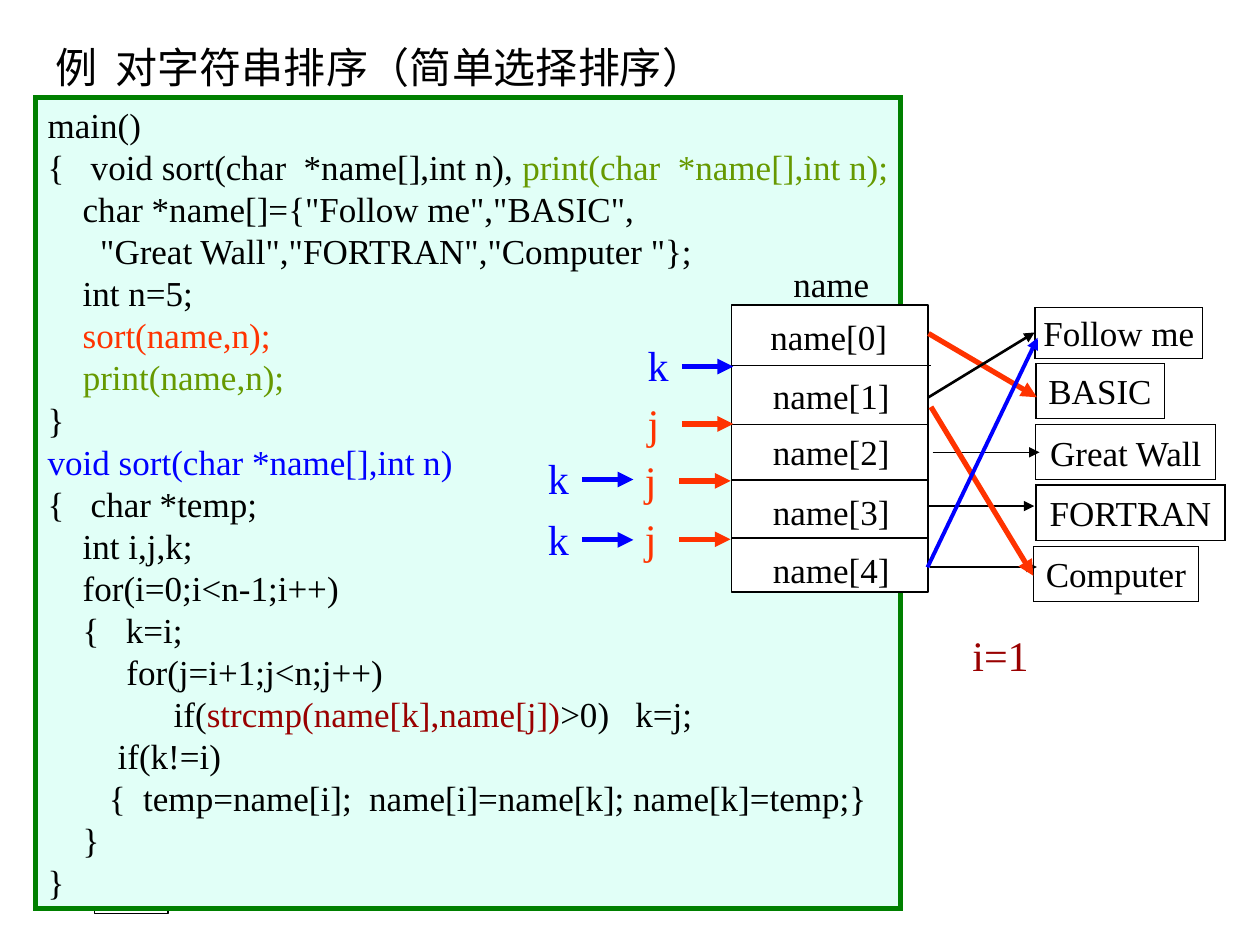
from lxml import etree
from pptx import Presentation
from pptx.dml.color import RGBColor
from pptx.enum import shapes, text
from pptx.oxml.ns import qn
from pptx.util import Pt

BLACK = RGBColor(0, 0, 0)
WHITE = RGBColor(255, 255, 255)
MINT = RGBColor(0xE1, 0xFF, 0xF7)
GREEN = RGBColor(0, 0x80, 0)
OLIVE = RGBColor(0x66, 0x99, 0)
RED = RGBColor(0xFF, 0x33, 0)
BLUE = RGBColor(0, 0, 0xFF)
MAROON = RGBColor(0x99, 0, 0)
LEFT, MID = text.PP_ALIGN.LEFT, text.PP_ALIGN.CENTER

deck = Presentation()
deck.slide_width, deck.slide_height = Pt(720), Pt(540)
slide = deck.slides.add_slide(deck.slide_layouts[6])
items = slide.shapes


def label(area, lines, size=20, align=LEFT, frame=False):
    place = [Pt(n) for n in area]
    if frame:
        box = items.add_shape(shapes.MSO_SHAPE.RECTANGLE, *place)
        box.shadow.inherit = False
        box.fill.background()
        box.line.color.rgb = BLACK
        box.line.width = Pt(0.75)
        etree.SubElement(box.line._get_or_add_ln(), qn("a:miter"), lim="800000")
    else:
        box = items.add_textbox(*place)
    body = box.text_frame
    anchor = text.MSO_ANCHOR.MIDDLE if align == MID else text.MSO_ANCHOR.TOP
    look = {"word_wrap": False, "vertical_anchor": anchor,
            "auto_size": text.MSO_AUTO_SIZE.SHAPE_TO_FIT_TEXT}
    for key, value in look.items():
        setattr(body, key, value)
    for num, line in enumerate(lines):
        para = body.add_paragraph() if num else body.paragraphs[0]
        para.alignment = align
        para.line_spacing = Pt(size * 1.2)
        if line[0][0].startswith("\t"):
            tabs = etree.SubElement(para._p.get_or_add_pPr(), qn("a:tabLst"))
            etree.SubElement(tabs, qn("a:tab"), pos=str(Pt(72)), algn="l")
        for words, color in line:
            run = para.add_run()
            run.text = words
            for key, value in {"name": "Times New Roman", "size": Pt(size)}.items():
                setattr(run.font, key, value)
            run.font.color.rgb = color
    return box


def stroke(ends, color=BLACK, width=0.75, head=True):
    line = items.add_connector(shapes.MSO_CONNECTOR.STRAIGHT, *[Pt(n) for n in ends])
    line.line.color.rgb = color
    line.line.width = Pt(width)
    if head:
        etree.SubElement(line.line._get_or_add_ln(), qn("a:tailEnd"), type="triangle")
    etree.SubElement(line._element.spPr, qn("a:effectLst"))


icon = items.add_shape(shapes.MSO_SHAPE.ACTION_BUTTON_DOCUMENT, Pt(54), Pt(468), Pt(42), Pt(54))
icon.adjustments
icon.shadow.inherit = False
icon.fill.solid()
icon.fill.fore_color.rgb = WHITE
icon.line.color.rgb = BLACK
icon.line.width = Pt(0.75)

label((24.5, 20, 390, 36), [[("例  对字符串排序（简单选择排序）", BLACK)]], 24)

code = [
    [("main()", BLACK)],
    [("{   void sort(char  *name[],int n), ", BLACK), ("print(char  *name[],int n);", OLIVE)],
    [('    char *name[]={"Follow me","BASIC",', BLACK)],
    [('      "Great Wall","FORTRAN","Computer "};', BLACK)],
    [("    int n=5;", BLACK)],
    [("    sort(name,n);", RED)],
    [("    ", BLACK), ("print(name,n);", OLIVE)],
    [("}", BLACK)],
    [("void sort(char *name[],int n)", BLUE)],
    [("{   char *temp;", BLACK)],
    [("    int i,j,k;", BLACK)],
    [("    for(i=0;i<n-1;i++)", BLACK)],
    [("    {   k=i;", BLACK)],
    [("         for(j=i+1;j<n;j++)", BLACK)],
    [("\tif(", BLACK), ("strcmp(name[k],name[j])", MAROON), (">0)   k=j;", BLACK)],
    [("        if(k!=i)", BLACK)],
    [("       {  temp=name[i];  name[i]=name[k]; name[k]=temp;}", BLACK)],
    [("    }", BLACK)],
    [("}", BLACK)],
]
panel = label((20.2, 55.8, 494.6, 463.5), code, frame=True)
panel.fill.solid()
panel.fill.fore_color.rgb = MINT
panel.line.color.rgb = GREEN
panel.line.width = Pt(3)

stack = items.add_shape(shapes.MSO_SHAPE.RECTANGLE, Pt(417.8), Pt(174.4), Pt(112.5), Pt(164))
stack.shadow.inherit = False
stack.fill.solid()
stack.fill.fore_color.rgb = WHITE
stack.line.color.rgb = BLACK
stack.line.width = Pt(0.75)
for y, end in [(208.8, 532), (242.5, 530.5), (274.3, 530.5), (307.5, 530.5)]:
    stroke((417.8, y, end, y), head=False)
for num, y in enumerate([176.5, 210, 242, 276.5, 309.6]):
    label((428.6 if num == 0 else 430, y, 90, 31.5), [[(f"name[{num}]", BLACK)]], align=MID)
label((440, 146.3, 70, 31.5), [[("name", BLACK)]], align=MID)

for words, x, y, w, h, align in [
    ("Great Wall", 591.8, 242.6, 103, 31.5, MID),
    ("FORTRAN", 592, 277.2, 108, 31.5, MID),
    ("Computer", 590.5, 312.2, 94.3, 31.5, MID),
    ("Follow me", 591.5, 175.7, 95.8, 29, MID),
    ("BASIC", 592, 207.7, 73.4, 31.5, LEFT),
]:
    box = label((x, y, w, h), [[(words, BLACK)]], align=align, frame=True)
    if h < 31:
        box.text_frame.auto_size = text.MSO_AUTO_SIZE.NONE
for x, y in [(533, 258.5), (530, 289.2), (531.5, 324)]:
    stroke((x, y, x + 61, y))

for mark, color, x, y in [
    ("k", BLUE, 363, 190.7),
    ("k", BLUE, 306, 255.2),
    ("j", RED, 363, 223.5),
    ("j", RED, 361.5, 256),
    ("j", RED, 361.5, 289.4),
    ("k", BLUE, 306, 289.7),
]:
    stroke((x + 26.6, y + 18.8, x + 56, y + 18.8), color, 3)
    label((x, y, 30, 36), [[(mark, color)]], 24)
label((548.6, 356.3, 60, 36), [[("i=1", MAROON)]], 24)

for ends, color, width in [
    ((530.6, 190.6, 592.5, 227), RED, 3),
    ((530.6, 227, 591.2, 190), BLACK, 1.5),
    ((532, 232.5, 590.5, 329), RED, 3),
    ((530, 324.2, 593, 193), BLUE, 2.25),
]:
    stroke(ends, color, width)

deck.save("out.pptx")
